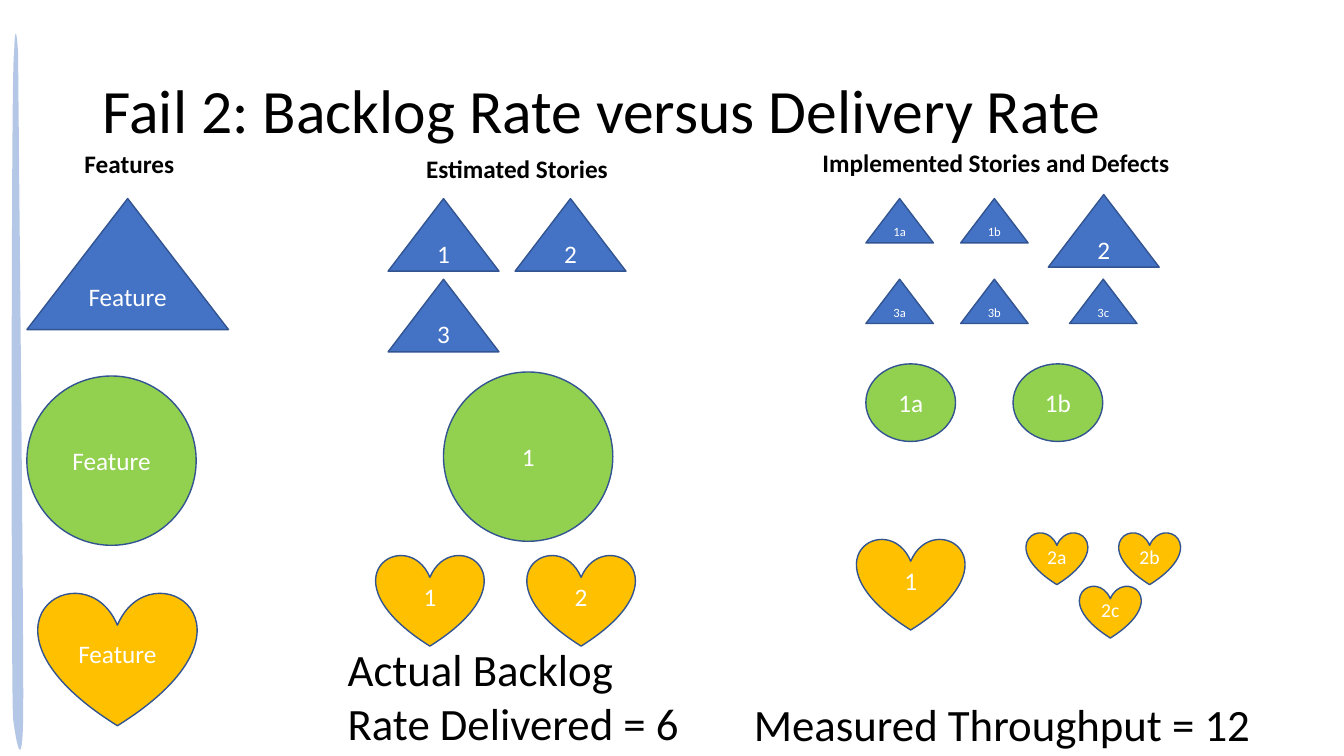
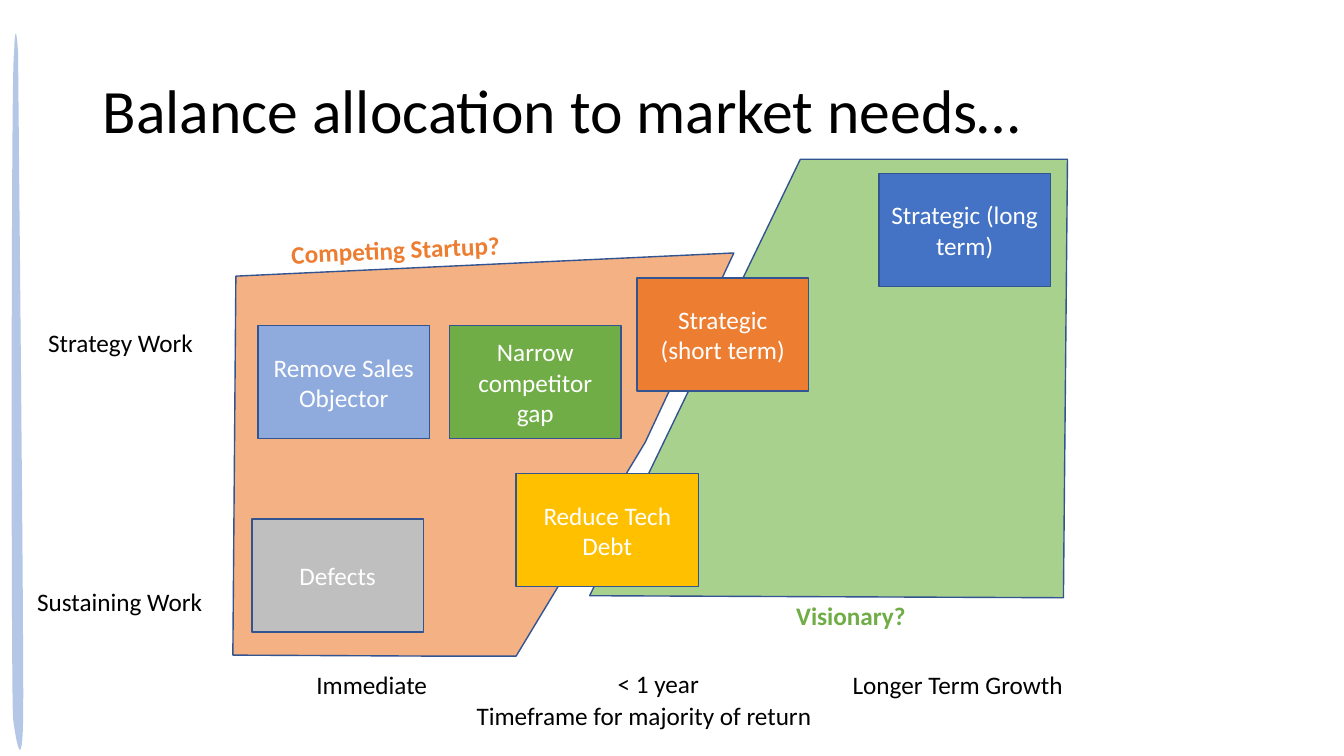
from pptx import Presentation
from pptx.dml.color import RGBColor
from pptx.enum.shapes import MSO_SHAPE
from pptx.enum.text import MSO_ANCHOR, PP_ALIGN
from pptx.util import Inches, Pt

TRIANGLE, CIRCLE = MSO_SHAPE.ISOSCELES_TRIANGLE, MSO_SHAPE.OVAL
HEART, CARD = MSO_SHAPE.HEART, MSO_SHAPE.RECTANGLE
LEFT, CENTER, MIDDLE = PP_ALIGN.LEFT, PP_ALIGN.CENTER, MSO_ANCHOR.MIDDLE

BLACK, WHITE, OUTLINE, BAND = "000000", "FFFFFF", "325491", "B4C7E7"
BLUE, LIME, GOLD, GREEN, ORANGE = "4472C4", "92D050", "FFC000", "70AD47", "ED7D31"
PALE_BLUE, PALE_GREEN, PALE_ORANGE, GREY = "8FAADC", "A9D18E", "F4B183", "BFBFBF"

prs = Presentation()
prs.slide_width, prs.slide_height = Inches(13.33), Inches(7.5)
# All positions and sizes below count columns and rows of a 40 by 30 grid.
COL, ROW = prs.slide_width / 40, prs.slide_height / 30


def paint(shape, fill, line):
    shape.shadow.inherit = False
    shape.fill.solid()
    shape.fill.fore_color.rgb = RGBColor.from_string(fill)
    if line:
        shape.line.color.rgb = RGBColor.from_string(line)
        shape.line.width = Pt(1)
    else:
        shape.line.fill.background()


def write(shape, text, color, align, wrap=True, **font_format):
    frame = shape.text_frame
    frame.text = text
    frame.word_wrap = wrap
    for paragraph in frame.paragraphs:
        paragraph.alignment = align
        for run in paragraph.runs:
            run.font.color.rgb = RGBColor.from_string(color)
            for name, value in {"name": "Calibri", **font_format}.items():
                setattr(run.font, name, value)


# Shared title position and one slide for each title
layout = prs.slide_layouts[5]
title_place = {"left": 2.76 * COL, "top": 1.6 * ROW, "width": 34.5 * COL, "height": 5.8 * ROW}
for side, length in title_place.items():
    setattr(layout.placeholders[0], side, round(length))

slides = []
for heading in ("Fail 2: Backlog Rate versus Delivery Rate",
                "Balance allocation to market needs…"):
    slide = prs.slides.add_slide(layout)
    title = slide.shapes.title
    write(title, heading, BLACK, LEFT, size=Pt(44))
    title.text_frame.vertical_anchor = MIDDLE
    title.text_frame.paragraphs[0].line_spacing = 0.9
    slides.append(slide)
backlog, balance = slides

# Brush stroke at the left edge, traced along its Bézier curves
stroke_curves = [
    ((0.42, 2.12), (0.33, 2.12), (0.33, 27.56), (0.39, 28.52)),
    ((0.39, 28.52), (0.48, 29.44), (0.66, 30.76), (0.69, 28.52)),
    ((0.69, 28.52), (0.72, 26.28), (0.54, 2.88), (0.54, 2.12)),
    ((0.54, 2.12), (0.51, 1.4), (0.45, 0.8), (0.42, 2.12)),
]
STEPS = 24
stroke = []
for curve in stroke_curves:
    for step in range(STEPS):
        t = step / STEPS
        weights = ((1 - t) ** 3, 3 * t * (1 - t) ** 2, 3 * t * t * (1 - t), t ** 3)
        stroke.append([sum(w * point[axis] for w, point in zip(weights, curve))
                       for axis in (0, 1)])

visionary_area = [(31.77, 6.32), (23.82, 6.32), (17.55, 23.64), (31.65, 23.72)]
startup_area = [(7.02, 10.96), (6.93, 26), (13.11, 26.04), (15.36, 26.04),
                (19.2, 17.56), (21.84, 10.04)]
for outline, fill, line in ((visionary_area, PALE_GREEN, OUTLINE),
                            (startup_area, PALE_ORANGE, OUTLINE),
                            (stroke, BAND, None)):
    start, *rest = [(round(x * COL), round(y * ROW)) for x, y in outline]
    builder = balance.shapes.build_freeform(*start)
    builder.add_line_segments(rest, close=True)
    area = builder.convert_to_shape()
    paint(area, fill, line)
    if outline is stroke:
        layout.shapes.element.append(area.element)

# Figures of equal kind and size: slide, kind, width, height, text size,
# then (text, column, row, fill) for each
figure_groups = [
    (backlog, TRIANGLE, 6, 5.2, 18, [("Feature", 0.8, 7.88, BLUE)]),
    (backlog, TRIANGLE, 3.3, 2.88, 18, [
        ("1", 11.55, 7.88, BLUE), ("2", 15.33, 7.88, BLUE),
        ("3", 11.55, 11.08, BLUE), ("2", 31.2, 7.72, BLUE)]),
    (backlog, TRIANGLE, 2.01, 1.76, 9, [
        ("1a", 25.77, 7.88, BLUE), ("1b", 28.59, 7.88, BLUE),
        ("3a", 25.77, 11.08, BLUE), ("3b", 28.59, 11.08, BLUE),
        ("3c", 31.83, 11.08, BLUE)]),
    (backlog, CIRCLE, 5.04, 6.72, 18, [
        ("Feature", 0.8, 14.92, LIME), ("1", 13.2, 14.76, LIME)]),
    (backlog, CIRCLE, 2.67, 3.08, 18, [
        ("1a", 25.77, 14.44, LIME), ("1b", 30.15, 14.44, LIME)]),
    (backlog, HEART, 4.71, 5.32, 18, [("Feature", 1.14, 23.48, GOLD)]),
    (backlog, HEART, 3.21, 3.64, 18, [
        ("1", 11.19, 22, GOLD), ("2", 15.69, 22, GOLD), ("1", 25.5, 21.36, GOLD)]),
    (backlog, HEART, 1.83, 2.08, 14, [
        ("2a", 30.54, 21.12, GOLD), ("2c", 32.13, 23.24, GOLD),
        ("2b", 33.3, 21.12, GOLD)]),
    (balance, CARD, 5.43, 4.48, 18, [("Reduce Tech Debt", 15.36, 18.8, GOLD)]),
    (balance, CARD, 5.1, 4.48, 18, [
        ("Narrow competitor gap", 13.38, 12.92, GREEN),
        ("Remove Sales Objector", 7.68, 12.92, PALE_BLUE),
        ("Defects", 7.5, 20.6, GREY),
        ("Strategic (short term)", 18.96, 11.04, ORANGE),
        ("Strategic (long term)", 26.16, 6.88, BLUE)]),
]
for slide, kind, width, height, size, figures in figure_groups:
    for text, column, row, fill in figures:
        figure = slide.shapes.add_shape(kind, round(column * COL), round(row * ROW),
                                        round(width * COL), round(height * ROW))
        paint(figure, fill, OUTLINE)
        figure.text_frame.vertical_anchor = MIDDLE
        write(figure, text, WHITE, CENTER, size=Pt(size))

# Labels: slide, text, column, row, width, height, colour, wrap, rotation, font format
PLAIN = {"size": Pt(18)}
STRONG = {"size": Pt(18), "bold": True}
RESULT = {"size": Pt(32)}
labels = [
    (backlog, "Features", 2.22, 5.68, 6.15, 1.6, BLACK, True, 0, STRONG),
    (backlog, "Estimated Stories", 12.39, 5.88, 6.15, 1.6, BLACK, True, 0, STRONG),
    (backlog, "Implemented Stories and Defects", 24.18, 5.64, 11.13, 1.6, BLACK, True, 0, STRONG),
    (backlog, "Actual Backlog\vRate Delivered = 6", 10.05, 25.28, 10.56, 4.72, BLACK, False, 0, RESULT),
    (backlog, "Measured Throughput = 12", 22.14, 27.44, 15.54, 2.56, BLACK, False, 0, RESULT),
    (balance, "Strategy Work", 1.14, 12.8, 7.71, 1.6, BLACK, True, 0, PLAIN),
    (balance, "Sustaining Work", 0.81, 23.08, 7.71, 1.6, BLACK, True, 0, PLAIN),
    (balance, "Immediate", 9.12, 26.36, 7.71, 1.6, BLACK, True, 0, PLAIN),
    (balance, "< 1 year", 18.09, 26.32, 7.71, 1.6, BLACK, True, 0, PLAIN),
    (balance, "Longer Term Growth", 25.08, 26.36, 7.71, 1.6, BLACK, True, 0, PLAIN),
    (balance, "Timeframe for majority of return", 13.89, 27.6, 10.68, 1.6, BLACK, False, 0, PLAIN),
    (balance, "Visionary?", 23.4, 23.64, 4.05, 1.6, GREEN, False, 0, STRONG),
    (balance, "Competing Startup?", 8.37, 9.08, 7.05, 1.6, ORANGE, False, 357.3, STRONG),
]
for slide, text, column, row, width, height, color, wrap, rotation, font_format in labels:
    label = slide.shapes.add_textbox(round(column * COL), round(row * ROW),
                                     round(width * COL), round(height * ROW))
    label.rotation = rotation
    write(label, text, color, LEFT, wrap, **font_format)

prs.save("out.pptx")
